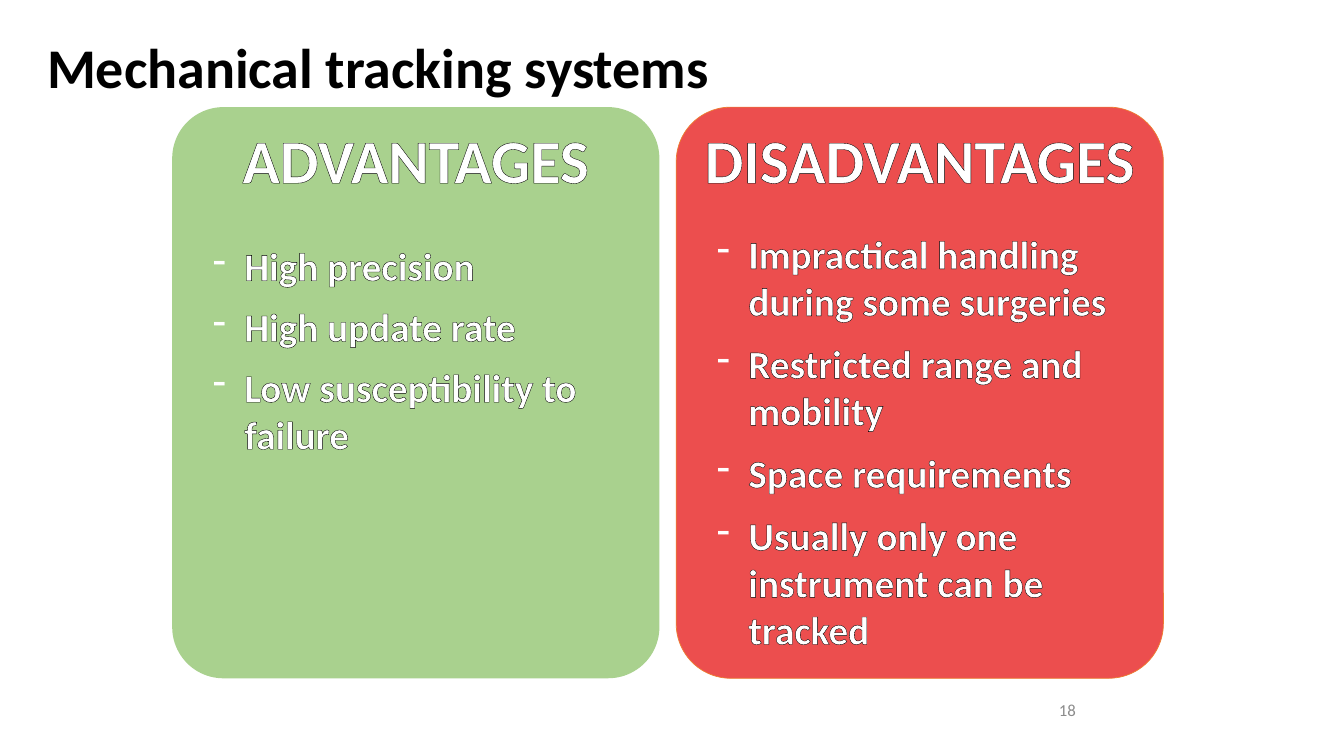
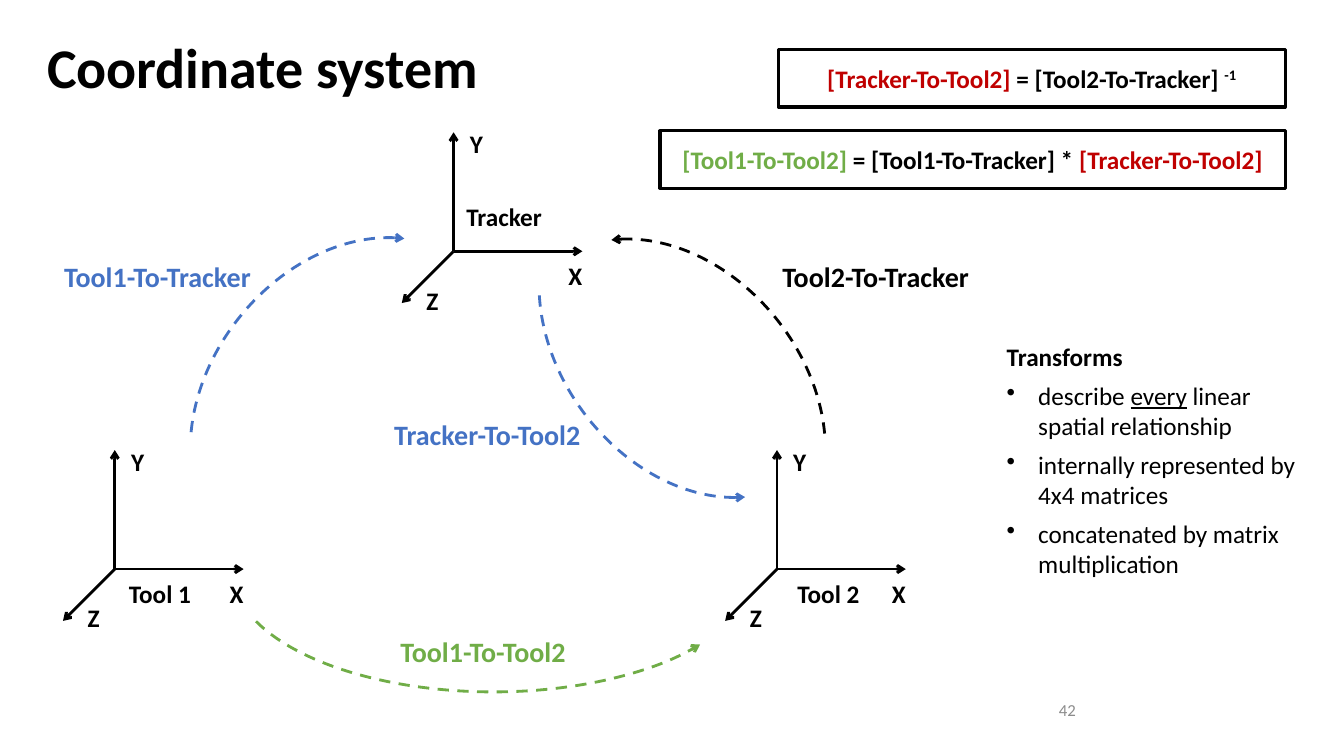
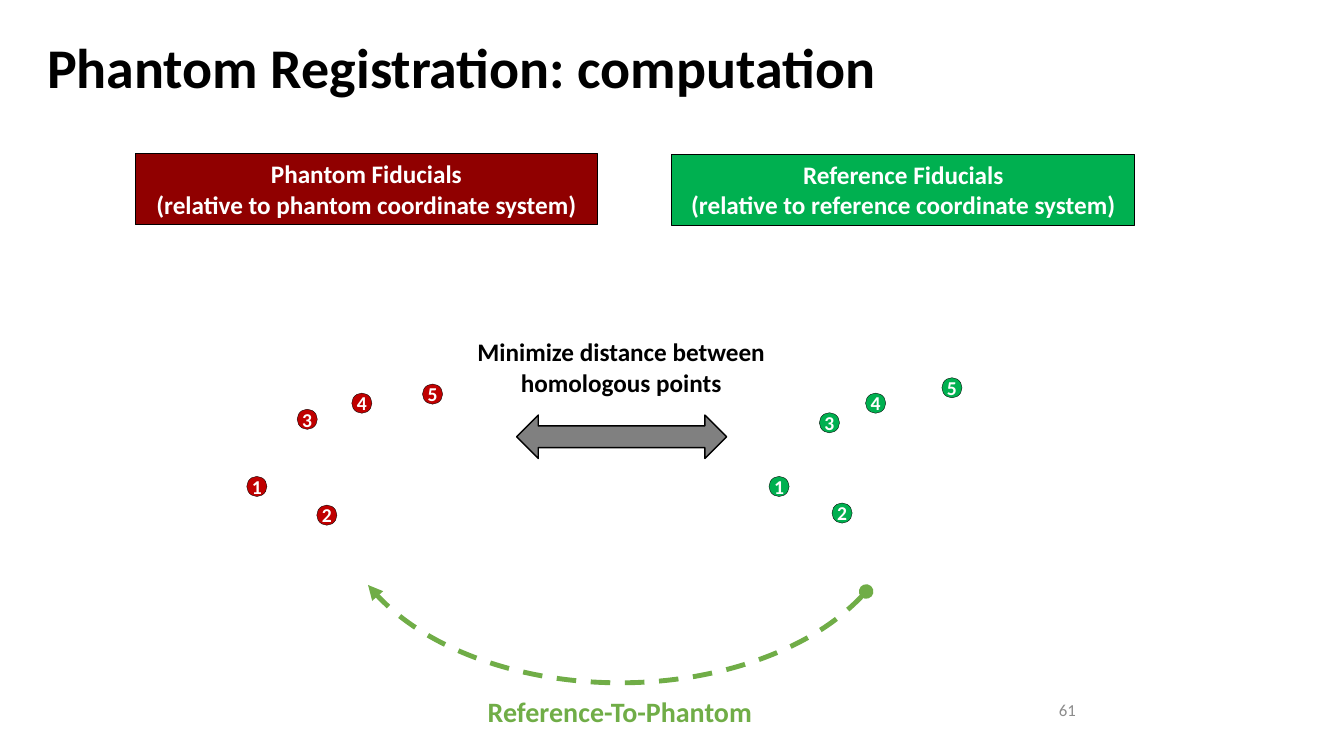
from lxml import etree
from pptx import Presentation
from pptx.dml.color import RGBColor
from pptx.enum import dml, shapes, text
from pptx.oxml import ns
from pptx.util import Pt

FONT = "Calibri"
BLACK = RGBColor(0x00, 0x00, 0x00)
WHITE = RGBColor(0xFF, 0xFF, 0xFF)
GREY = RGBColor(0x8C, 0x8C, 0x8C)
ARROW_GREY = RGBColor(0x80, 0x80, 0x80)
PALE_GREEN = RGBColor(0xA9, 0xD1, 0x8E)
GREEN = RGBColor(0x70, 0xAD, 0x47)
BRIGHT_GREEN = RGBColor(0x00, 0xB0, 0x50)
CORAL = RGBColor(0xEC, 0x4E, 0x4E)
ORANGE = RGBColor(0xED, 0x7D, 0x31)
RED = RGBColor(0xC0, 0x00, 0x00)
DARK_RED = RGBColor(0x90, 0x00, 0x00)
BLUE = RGBColor(0x44, 0x72, 0xC4)

SHAPE = shapes.MSO_SHAPE
LEFT, CENTER, RIGHT = text.PP_ALIGN.LEFT, text.PP_ALIGN.CENTER, text.PP_ALIGN.RIGHT
TOP, MIDDLE = text.MSO_ANCHOR.TOP, text.MSO_ANCHOR.MIDDLE
INDENT = 22.5


def add_xml(parent, tag, **attributes):
    return etree.SubElement(parent, ns.qn(tag), **attributes)


def format_run(r, size=18, color=BLACK, bold=True, underline=None, outline=False, baseline=None):
    font = r.font
    font.name, font.size, font.bold = FONT, Pt(size), bold
    font.underline = underline
    font.color.rgb = color
    rPr = r._r.get_or_add_rPr()
    if baseline:
        rPr.set("baseline", str(baseline))
    if outline:
        ln = etree.Element(ns.qn("a:ln"), w=str(Pt(0.75)))
        fill = add_xml(ln, "a:solidFill")
        add_xml(fill, "a:srgbClr", val=str(BLACK))
        rPr.insert(0, ln)


def write(tf, paragraphs, align=LEFT, anchor=TOP, wrap=True, gap=0, line_spacing=None,
          bullet=None, unbulleted=0, **style):
    tf.word_wrap = wrap
    tf.vertical_anchor = anchor
    if isinstance(paragraphs, str):
        paragraphs = [paragraphs]
    for i, runs in enumerate(paragraphs):
        p = tf.add_paragraph() if i else tf.paragraphs[0]
        p.alignment = align
        if line_spacing:
            p.line_spacing = line_spacing
        if i and gap:
            p.space_before = Pt(gap)
        if bullet and i >= unbulleted:
            pPr = p._p.get_or_add_pPr()
            pPr.set("marL", str(Pt(INDENT)))
            pPr.set("indent", str(-Pt(INDENT)))
            add_xml(pPr, "a:buChar", char=bullet)
        for words, changes in [(runs, {})] if isinstance(runs, str) else runs:
            r = p.add_run()
            r.text = words
            format_run(r, **{**style, **changes})


class Deck:
    def __init__(self):
        self.prs = Presentation()
        self.prs.slide_width, self.prs.slide_height = Pt(960), Pt(540)
        self.s = None

    def slide(self, title, number):
        self.s = self.prs.slides.add_slide(self.prs.slide_layouts[6])
        self.text(title, 26.5, 16, 898.5, 68.5, size=40, anchor=MIDDLE, line_spacing=0.9)
        self.text(number, 738.5, 492.5, 37, 28.75, size=12, color=GREY, bold=False,
                  align=RIGHT, anchor=MIDDLE)

    def text(self, words, x, y, w, h, **style):
        box = self.s.shapes.add_textbox(Pt(x), Pt(y), Pt(w), Pt(h))
        write(box.text_frame, words, **style)

    def shape(self, kind, x, y, w, h, fill=None, line=None, width=1, adjust=()):
        sp = self.s.shapes.add_shape(kind, Pt(x), Pt(y), Pt(w), Pt(h))
        sp.shadow.inherit = False
        for i, value in enumerate(adjust):
            sp.adjustments[i] = value
        if fill is None:
            sp.fill.background()
        else:
            sp.fill.solid()
            sp.fill.fore_color.rgb = fill
        if line is None:
            sp.line.fill.background()
        else:
            sp.line.color.rgb = line
            sp.line.width = Pt(width)
        return sp

    def box(self, words, x, y, w, h, fill=None, line=BLACK, width=0.75, **style):
        sp = self.shape(SHAPE.RECTANGLE, x, y, w, h, fill, line, width)
        write(sp.text_frame, words, align=CENTER, anchor=MIDDLE, **style)

    def card(self, heading, points, x, body_y, gap, radius, fill, line=None):
        white = dict(color=WHITE, outline=True)
        self.shape(SHAPE.ROUNDED_RECTANGLE, x, 76.5, 348, 408, fill, line, 0.5, [radius])
        sp = self.shape(SHAPE.ROUNDED_RECTANGLE, x, 76.5, 348, 73.5, adjust=[0.5])
        write(sp.text_frame, heading, size=44, align=CENTER, anchor=MIDDLE, **white)
        self.text(points, x + 22, body_y, 304, 484 - body_y, size=28, bullet="-", gap=gap, **white)

    def arc(self, x, y, w, h, rotation, adjust, color, width=2, flip=False, head=None, tail="arrow"):
        sp = self.shape(SHAPE.ARC, x, y, w, h, None, color, width, adjust)
        sp.rotation = rotation
        sp.line.dash_style = dml.MSO_LINE.DASH
        spPr = sp._element.spPr
        if flip:
            spPr.find(ns.qn("a:xfrm")).set("flipH", "1")
        ln = spPr.get_or_add_ln()
        if head:
            add_xml(ln, "a:headEnd", type=head)
        add_xml(ln, "a:tailEnd", type=tail)

    def arrow(self, x1, y1, x2, y2):
        c = self.s.shapes.add_connector(shapes.MSO_CONNECTOR.STRAIGHT, Pt(x1), Pt(y1), Pt(x2), Pt(y2))
        c.line.color.rgb = BLACK
        c.line.width = Pt(2)
        spPr = c._element.spPr
        add_xml(spPr.get_or_add_ln(), "a:tailEnd", type="arrow")
        add_xml(spPr, "a:effectLst")

    def axes(self, name, x, y, name_dx, name_dy, name_width):
        for dx, dy in ((0, -85), (92, 0), (-37, 37)):
            self.arrow(x, y, x + dx, y + dy)
        labels = (("X", 75, 3, 24.5), ("Y", 4.5, -91.5, 24), ("Z", -26.5, 20.5, 23),
                  (name, name_dx, name_dy, name_width))
        for label, dx, dy, w in labels:
            self.text(label, x + dx, y + dy, w, 29, wrap=False)

    def transform_label(self, words, x, y, color, w=172):
        self.text(words, x, y, w, 31.5, size=20, color=color, align=CENTER)

    def fiducials(self, centers, color):
        for number, (x, y) in enumerate(centers, 1):
            sp = self.shape(SHAPE.OVAL, x - 7.2, y - 7.2, 14.4, 14.4, color, BLACK, 0.25)
            tf = sp.text_frame
            tf.margin_left = tf.margin_right = tf.margin_top = tf.margin_bottom = 0
            write(tf, str(number), size=14, color=WHITE, align=CENTER, anchor=MIDDLE, wrap=False)


def tracking_slide(deck):
    deck.slide("Mechanical tracking systems", "18")
    deck.card("ADVANTAGES",
              ["High precision", "High update rate", "Low susceptibility to failure"],
              123, 169, 9.75, 0.105, PALE_GREEN)
    deck.card("DISADVANTAGES",
              ["Impractical handling during some surgeries", "Restricted range and mobility",
               "Space requirements", "Usually only one instrument can be tracked"],
              483, 160.5, 11, 0.112, CORAL, ORANGE)


def coordinate_slide(deck):
    deck.slide("Coordinate system", "42")
    deck.axes("Tracker", 324, 179.5, 2, -39.5, 69)
    deck.axes("Tool 1", 82, 406.5, 3, 3, 59)
    deck.axes("Tool 2", 555, 406.5, 7.5, 3, 59)

    quarter = (187.492, 42.183)
    deck.arc(148.5, 159, 201, 262, 218.1, quarter, BLUE)
    deck.arc(376, 160, 201, 262, 141.9, quarter, BLACK, flip=True)
    deck.arc(396.5, 103, 201, 262, 324.1, quarter, BLUE, flip=True)
    deck.arc(265.5, 221, 173.5, 373, 270, (169.262, 42.183), GREEN, flip=True)
    deck.transform_label("Tool1-To-Tracker", 26.5, 182, BLUE)
    deck.transform_label("Tool2-To-Tracker", 539.5, 182, BLACK)
    deck.transform_label("Tracker-To-Tool2", 262, 294.5, BLUE)
    deck.transform_label("Tool1-To-Tool2", 259, 449.5, GREEN)

    red, green = dict(color=RED), dict(color=GREEN)
    deck.box([[("[Tracker-To-Tool2] ", red), ("= [Tool2-To-Tracker] ", {}),
               ("-1", dict(baseline=30000))]], 556, 35.5, 362, 41, width=2.25)
    deck.box([[("[Tool1-To-Tool2]", green), (" = [Tool1-To-Tracker] * ", {}),
               ("[Tracker-To-Tool2]", red)]], 471.5, 93.5, 446.5, 41, width=2.25)

    heading = [("Transforms", dict(bold=True))]
    every = [("describe ", {}), ("every", dict(underline=True)), (" linear spatial relationship", {})]
    deck.text([heading, every, "internally represented by 4x4 matrices",
               "concatenated by matrix multiplication"],
              712, 240.5, 231, 178, bold=False, gap=6, bullet="•", unbulleted=1)


def registration_slide(deck):
    deck.slide("Phantom Registration: computation", "61")
    deck.fiducials([(556.5, 347.5), (601.5, 366.5), (592.5, 302), (625.5, 288), (680, 277)],
                   BRIGHT_GREEN)
    deck.fiducials([(183.5, 347.5), (233.5, 368), (219.5, 299.5), (258.5, 288), (309, 281.5)], RED)
    deck.box(["Phantom Fiducials", "(relative to phantom coordinate system)"],
             96.5, 109.5, 330.5, 51, DARK_RED, color=WHITE)
    deck.box(["Reference Fiducials", "(relative to reference coordinate system)"],
             480, 110, 330.5, 51, BRIGHT_GREEN, color=WHITE)
    deck.arc(314.5, 157.5, 256.5, 404, 90, (173.825, 43.215), GREEN, 3.5, head="oval", tail="triangle")
    deck.transform_label("Reference-To-Phantom", 337.5, 492.5, GREEN, 210.5)
    deck.shape(SHAPE.LEFT_RIGHT_ARROW, 369, 296.5, 150, 31, ARROW_GREY, BLACK, 1)
    deck.text("Minimize distance between homologous points", 331, 237, 225.5, 51, align=CENTER)


def main():
    deck = Deck()
    tracking_slide(deck)
    coordinate_slide(deck)
    registration_slide(deck)
    deck.prs.save("out.pptx")


if __name__ == "__main__":
    main()
